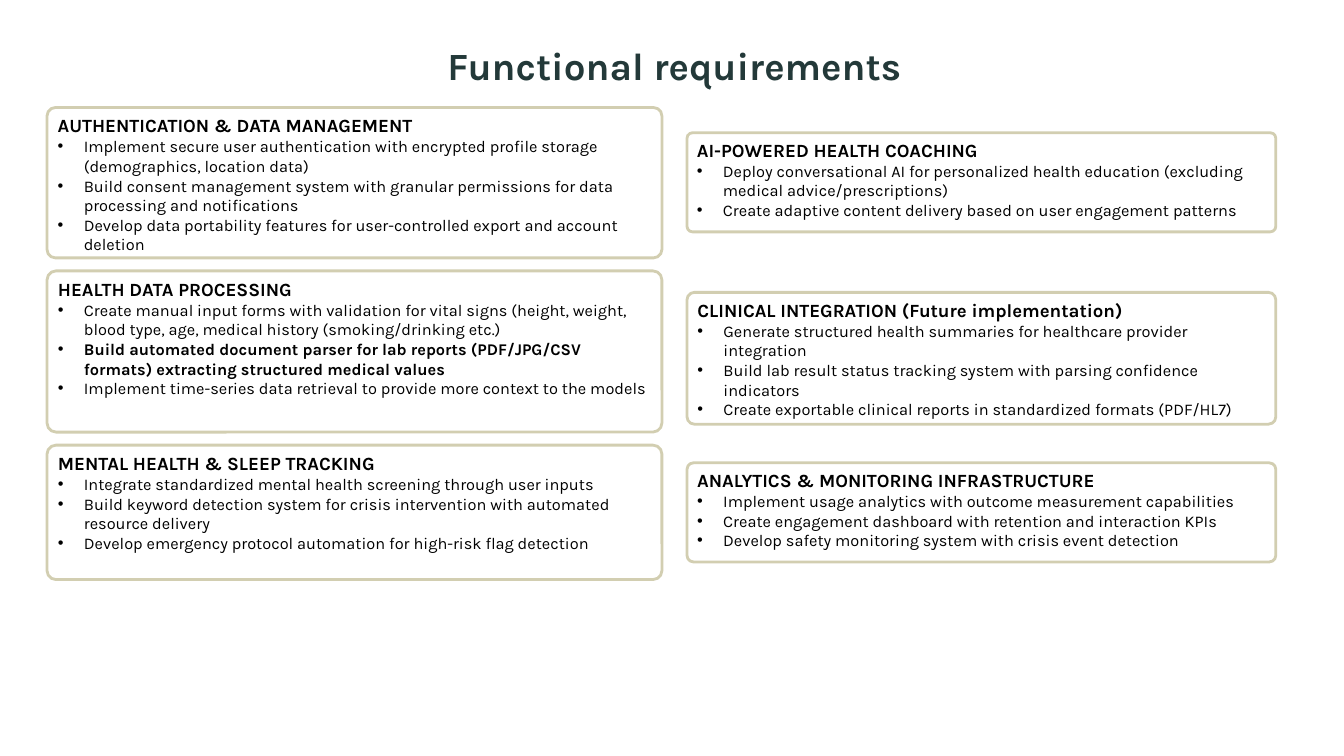
from dataclasses import dataclass

from lxml.etree import SubElement
from pptx import Presentation
from pptx.dml.color import RGBColor
from pptx.enum.shapes import MSO_AUTO_SHAPE_TYPE as ShapeType
from pptx.enum.text import MSO_ANCHOR as Anchor, MSO_AUTO_SIZE as AutoSize, PP_ALIGN as Align
from pptx.oxml.ns import qn
from pptx.slide import Slide
from pptx.text.text import Font, TextFrame
from pptx.util import Emu, Inches, Pt

WIDTH, HEIGHT = Inches(16), Inches(9)
COLOURS = {"title": "233939", "text": "000000", "card": "FFFFFF", "border": "D2CEB1"}
TITLE_FONT = {"name": "Karla", "size": Pt(33), "bold": True}
HEADING_FONT = {"name": "Karla", "size": Pt(16), "bold": True}
BULLET_FONT = {"name": "Karla", "size": Pt(14), "bold": False}
INDENT = Inches(0.31)


@dataclass
class Area:
    """Left and width in percent of the slide width, top and height of its height."""
    left: float
    top: float
    width: float
    height: float


@dataclass
class Column:
    left: float
    width: float


@dataclass
class Bullet:
    text: str
    bold: bool = False


@dataclass
class Card:
    column: Column
    top: float
    height: float
    heading: str
    bullets: list[Bullet]
    corner: float = 0.056


LEFT, RIGHT = Column(3.5, 45.75), Column(51.12, 43.81)
LEFT_TOP, LEFT_GAP = 14.22, 1.72
LEFT_HEIGHTS = [19.89, 21.33, 17.78]
LEFT_TOPS = [LEFT_TOP + sum(LEFT_HEIGHTS[:row]) + row * LEFT_GAP for row in range(3)]

TITLE_AREA = Area(5.62, 3.11, 89.12, 9.22)
CARDS = [
    Card(LEFT, LEFT_TOPS[0], LEFT_HEIGHTS[0], "AUTHENTICATION & DATA MANAGEMENT", [
        Bullet("Implement secure user authentication with encrypted profile storage "
               "(demographics, location data)"),
        Bullet("Build consent management system with granular permissions for data "
               "processing and notifications"),
        Bullet("Develop data portability features for user-controlled export and account deletion"),
    ]),
    Card(LEFT, LEFT_TOPS[1], LEFT_HEIGHTS[1], "HEALTH DATA PROCESSING", [
        Bullet("Create manual input forms with validation for vital signs (height, weight, "
               "blood type, age, medical history (smoking/drinking etc.)"),
        Bullet("Build automated document parser for lab reports (PDF/JPG/CSV formats) "
               "extracting structured medical values", bold=True),
        Bullet("Implement time-series data retrieval to provide more context to the models"),
    ]),
    Card(LEFT, LEFT_TOPS[2], LEFT_HEIGHTS[2], "MENTAL HEALTH & SLEEP TRACKING", [
        Bullet("Integrate standardized mental health screening through user inputs"),
        Bullet("Build keyword detection system for crisis intervention with automated "
               "resource delivery"),
        Bullet("Develop emergency protocol automation for high-risk flag detection"),
    ], corner=0.066),
    Card(RIGHT, 17.56, 13.11, "AI-POWERED HEALTH COACHING", [
        Bullet("Deploy conversational AI for personalized health education "
               "(excluding medical advice/prescriptions)"),
        Bullet("Create adaptive content delivery based on user engagement patterns"),
    ]),
    Card(RIGHT, 38.67, 17.44, "CLINICAL INTEGRATION (Future implementation)", [
        Bullet("Generate structured health summaries for healthcare provider integration"),
        Bullet("Build lab result status tracking system with parsing confidence indicators"),
        Bullet("Create exportable clinical reports in standardized formats (PDF/HL7)"),
    ]),
    Card(RIGHT, 61.22, 13.11, "ANALYTICS & MONITORING INFRASTRUCTURE", [
        Bullet("Implement usage analytics with outcome measurement capabilities"),
        Bullet("Create engagement dashboard with retention and interaction KPIs"),
        Bullet("Develop safety monitoring system with crisis event detection"),
    ], corner=0.066),
]


def colour(name: str) -> RGBColor:
    return RGBColor.from_string(COLOURS[name])


def to_lengths(area: Area) -> tuple[Emu, Emu, Emu, Emu]:
    shares = ((area.left, WIDTH), (area.top, HEIGHT), (area.width, WIDTH), (area.height, HEIGHT))
    return tuple(Emu(round(share * full / 100)) for share, full in shares)


def format_font(font: Font, values: dict, colour_name: str) -> None:
    for name, value in values.items():
        setattr(font, name, value)
    font.color.rgb = colour(colour_name)


def add_title(page: Slide, text: str) -> None:
    title = page.shapes.title
    title.left, title.top, title.width, title.height = to_lengths(TITLE_AREA)
    frame = title.text_frame
    frame.text = text
    frame_format = {"margin_left": 0, "margin_top": 0, "margin_right": 0, "margin_bottom": 0,
                    "word_wrap": True, "auto_size": AutoSize.NONE, "vertical_anchor": Anchor.TOP}
    for name, value in frame_format.items():
        setattr(frame, name, value)
    para = frame.paragraphs[0]
    para.alignment = Align.CENTER
    para.line_spacing = Pt(55.5)
    format_font(para.runs[0].font, TITLE_FONT, "title")


def add_bullet(frame: TextFrame, bullet: Bullet) -> None:
    para = frame.add_paragraph()
    para.alignment = Align.LEFT
    properties = para._p.get_or_add_pPr()
    properties.set("marL", str(INDENT))
    properties.set("indent", str(-INDENT))
    SubElement(properties, qn("a:buFont")).set("typeface", "Arial")
    SubElement(properties, qn("a:buChar")).set("char", "•")
    span = para.add_run()
    span.text = bullet.text
    format_font(span.font, BULLET_FONT | {"bold": bullet.bold}, "text")


def add_card(page: Slide, card: Card) -> None:
    area = Area(card.column.left, card.top, card.column.width, card.height)
    box = page.shapes.add_shape(ShapeType.ROUNDED_RECTANGLE, *to_lengths(area))
    box.adjustments[0] = card.corner
    box.shadow.inherit = False
    box.fill.solid()
    box.fill.fore_color.rgb = colour("card")
    fill_colour = box._element.spPr.find(qn("a:solidFill")).find(qn("a:srgbClr"))
    SubElement(fill_colour, qn("a:alpha")).set("val", "95000")
    box.line.color.rgb = colour("border")
    box.line.width = Pt(2.4)

    frame = box.text_frame
    frame.word_wrap = True
    frame.vertical_anchor = Anchor.TOP
    heading = frame.paragraphs[0]
    heading.alignment = Align.LEFT
    span = heading.add_run()
    span.text = card.heading
    format_font(span.font, HEADING_FONT, "text")
    for bullet in card.bullets:
        add_bullet(frame, bullet)


def main() -> None:
    deck = Presentation()
    deck.slide_width, deck.slide_height = WIDTH, HEIGHT
    page = deck.slides.add_slide(deck.slide_layouts.get_by_name("Title Only"))
    add_title(page, "Functional requirements")
    for card in CARDS:
        add_card(page, card)
    deck.save("out.pptx")


if __name__ == "__main__":
    main()
